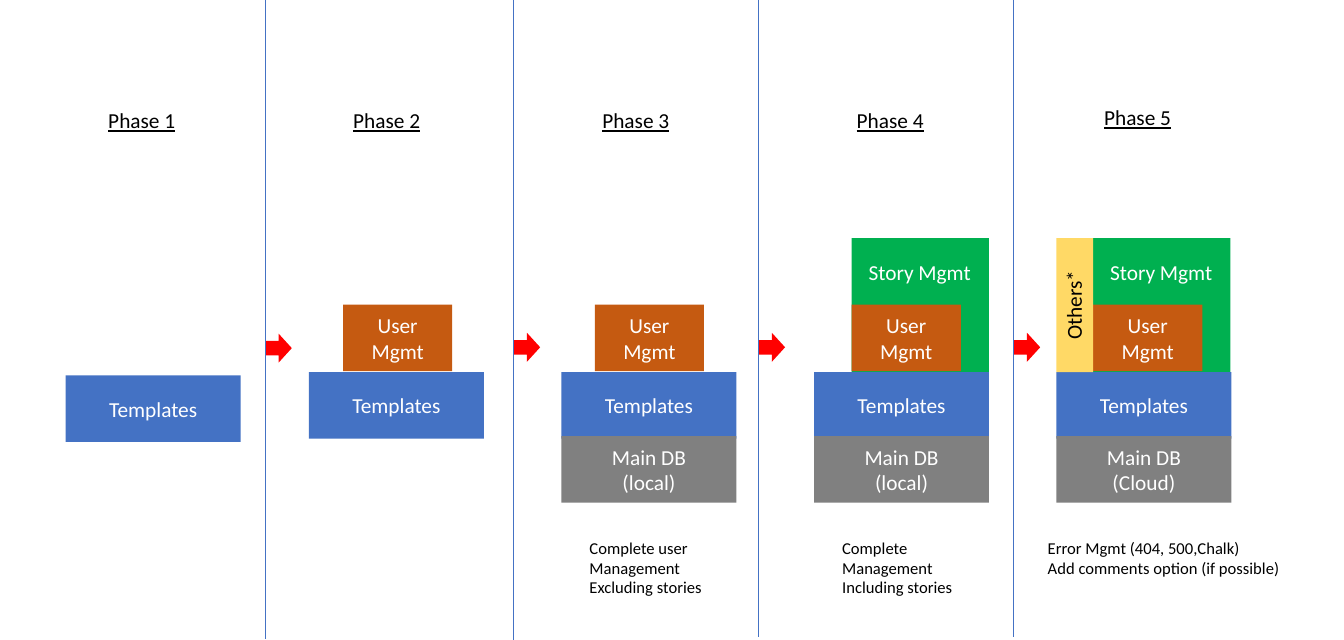
from pptx import Presentation
from pptx.dml.color import RGBColor
from pptx.enum.shapes import MSO_CONNECTOR, MSO_SHAPE
from pptx.enum.text import MSO_ANCHOR, MSO_AUTO_SIZE, PP_ALIGN
from pptx.oxml.ns import qn
from pptx.util import Inches, Pt
from lxml import etree

RECTANGLE = MSO_SHAPE.RECTANGLE
RIGHT_ARROW = MSO_SHAPE.RIGHT_ARROW
STRAIGHT = MSO_CONNECTOR.STRAIGHT
MIDDLE = MSO_ANCHOR.MIDDLE
TOP = MSO_ANCHOR.TOP
CENTER = PP_ALIGN.CENTER
LEFT = PP_ALIGN.LEFT
GROW = MSO_AUTO_SIZE.SHAPE_TO_FIT_TEXT

THEME = {
    "font": "Calibri", "label": 18, "note": 14, "rule": 0.5,
    "templates": "4472C4", "user": "C55A11", "story": "00B050",
    "database": "808080", "others": "FFD966", "arrow": "FF0000",
    "divider": "4472C4", "light": "FFFFFF", "dark": "000000",
}

PHASES = [
    {"title": "Phase 1", "title_at": (1.17, 1.21), "left": 0.77, "top": 4.4},
    {"title": "Phase 2", "title_at": (4.04, 1.21), "left": 3.62, "user_left": 4.02},
    {"title": "Phase 3", "title_at": (6.96, 1.21), "left": 6.58, "user_left": 6.97,
     "database": ["Main DB", "(local)"],
     "note": ["Complete user", "Management", "Excluding stories"],
     "note_at": (6.81, 1.53, 0.81)},
    {"title": "Phase 4", "title_at": (9.94, 1.21), "left": 9.54, "user_left": 9.98,
     "database": ["Main DB", "(local)"], "story": "Story Mgmt",
     "note": ["Complete", "Management", "Including stories"],
     "note_at": (9.77, 1.51, 0.81)},
    {"title": "Phase 5", "title_at": (12.84, 1.17), "left": 12.38, "user_left": 12.81,
     "database": ["Main DB", "(Cloud)"], "story": "Story Mgmt", "others": "Others*",
     "note": ["Error Mgmt (404, 500,Chalk)", "Add comments option (if possible)"],
     "note_at": (12.18, 2.94, 0.57)},
]
DIVIDERS = [(3.11, -0.01, 3.91), (6.02, 0, 3.9), (8.89, -0.04, 3.9), (11.88, -0.04, 3.9)]

SLIDE_W, SLIDE_H = 15.75, 7.5
BASE_W, USER_W, STORY_W = 2.05, 1.28, 1.61
BLOCK_H, STORY_H = 0.78, 1.57
STORY_TOP, USER_TOP, BASE_TOP, DATABASE_TOP, NOTE_TOP = 2.79, 3.57, 4.36, 5.11, 6.25
ARROW_W, ARROW_H = 0.31, 0.34
TITLE_W, LABEL_H = 1.25, 0.4


def color(key):
    return RGBColor.from_string(THEME[key])


def apply(target, formats):
    for name, value in formats.items():
        setattr(target, name, value)


def write(frame, lines, ink, size="label", align=LEFT, underline=None, **formats):
    apply(frame, formats)
    frame.text = "\n".join(lines)
    for paragraph in frame.paragraphs:
        paragraph.alignment = align
        for run in paragraph.runs:
            apply(run.font, {"name": THEME["font"], "size": Pt(THEME[size]),
                             "underline": underline})
            run.font.color.rgb = color(ink)


def add_block(slide, box, fill, lines=(), preset=RECTANGLE):
    block = slide.shapes.add_shape(preset, *map(Inches, box))
    block.shadow.inherit = False
    block.fill.solid()
    block.fill.fore_color.rgb = color(fill)
    block.line.fill.background()
    if lines:
        write(block.text_frame, lines, "light", align=CENTER,
              vertical_anchor=MIDDLE, word_wrap=True)


def add_label(slide, box, lines, ink="dark", size="label", wrap=False,
              underline=None, rotation=0):
    label = slide.shapes.add_textbox(*map(Inches, box))
    label.rotation = rotation
    write(label.text_frame, lines, ink, size, underline=underline,
          vertical_anchor=TOP, word_wrap=wrap, auto_size=GROW)


def add_phase(slide, phase):
    left = phase["left"]
    user_left = phase.get("user_left")
    if "story" in phase:
        add_block(slide, (user_left, STORY_TOP, STORY_W, STORY_H), "story")
        add_label(slide, (user_left + 0.1, STORY_TOP + 0.2, 1.41, LABEL_H),
                  [phase["story"]], "light")
    if user_left:
        add_block(slide, (user_left, USER_TOP, USER_W, BLOCK_H), "user", ["User Mgmt"])
    add_block(slide, (left, phase.get("top", BASE_TOP), BASE_W, BLOCK_H),
              "templates", ["Templates"])
    if "database" in phase:
        add_block(slide, (left, DATABASE_TOP, BASE_W, BLOCK_H),
                  "database", phase["database"])
    if "others" in phase:
        add_block(slide, (left, STORY_TOP, user_left - left, STORY_H), "others")
        add_label(slide, (left - 0.31, 3.37, 1.02, LABEL_H), [phase["others"]],
                  rotation=270)
    if "note" in phase:
        note_left, width, height = phase["note_at"]
        add_label(slide, (note_left, NOTE_TOP, width, height), phase["note"], size="note")
    add_label(slide, (*phase["title_at"], TITLE_W, LABEL_H), [phase["title"]],
              wrap=True, underline=True)


def add_divider(slide, x, top, arrow_top):
    add_block(slide, (x, arrow_top, ARROW_W, ARROW_H), "arrow", preset=RIGHT_ARROW)
    divider = slide.shapes.add_connector(
        STRAIGHT, *map(Inches, (x, top, x, top + SLIDE_H)))
    divider.line.color.rgb = color("divider")
    divider.line.width = Pt(THEME["rule"])
    etree.SubElement(divider._element.spPr, qn("a:effectLst"))


def main():
    deck = Presentation()
    apply(deck, {"slide_width": Inches(SLIDE_W), "slide_height": Inches(SLIDE_H)})
    slide = deck.slides.add_slide(deck.slide_layouts[6])
    for phase in PHASES:
        add_phase(slide, phase)
    for divider in DIVIDERS:
        add_divider(slide, *divider)
    deck.save("out.pptx")


if __name__ == "__main__":
    main()
